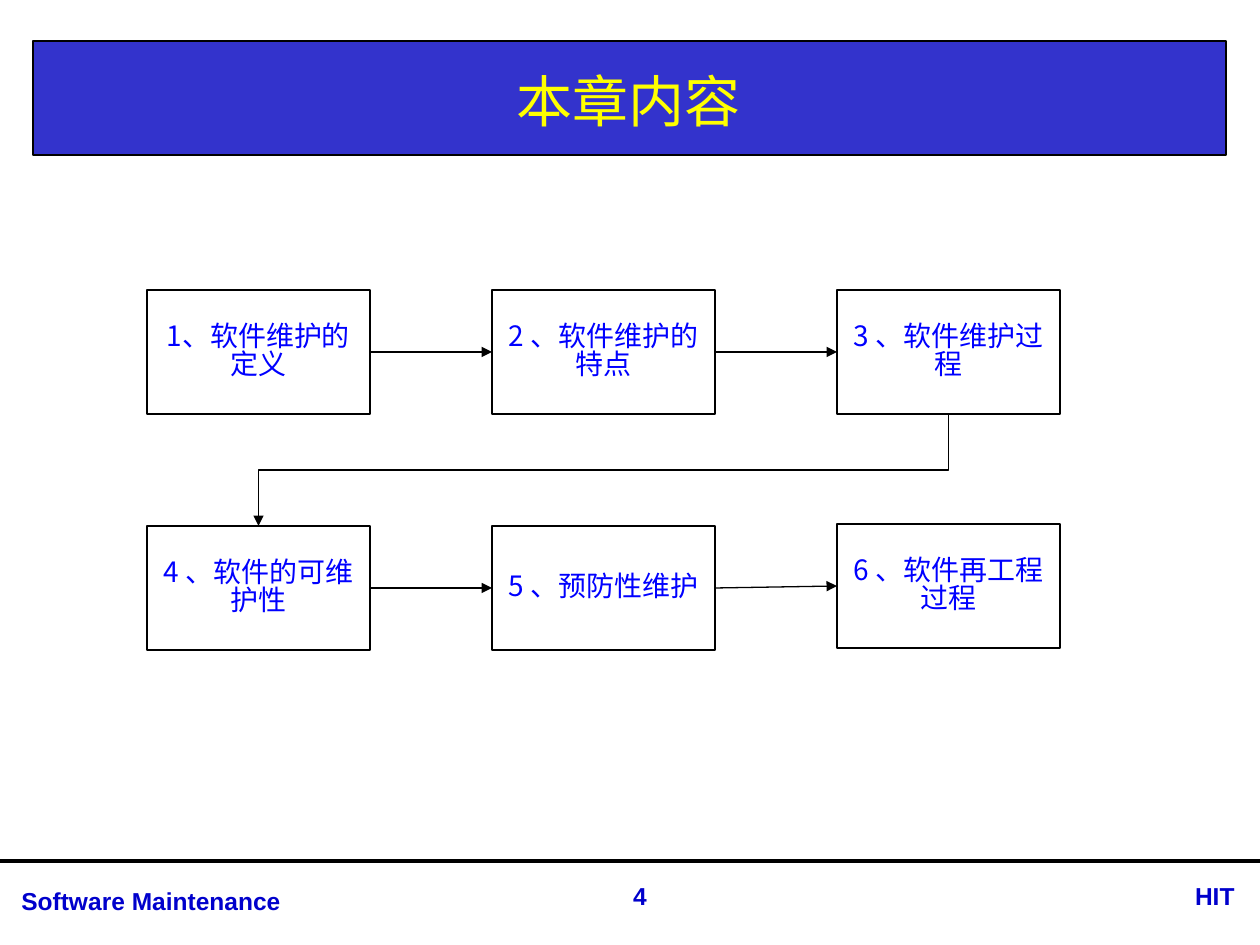
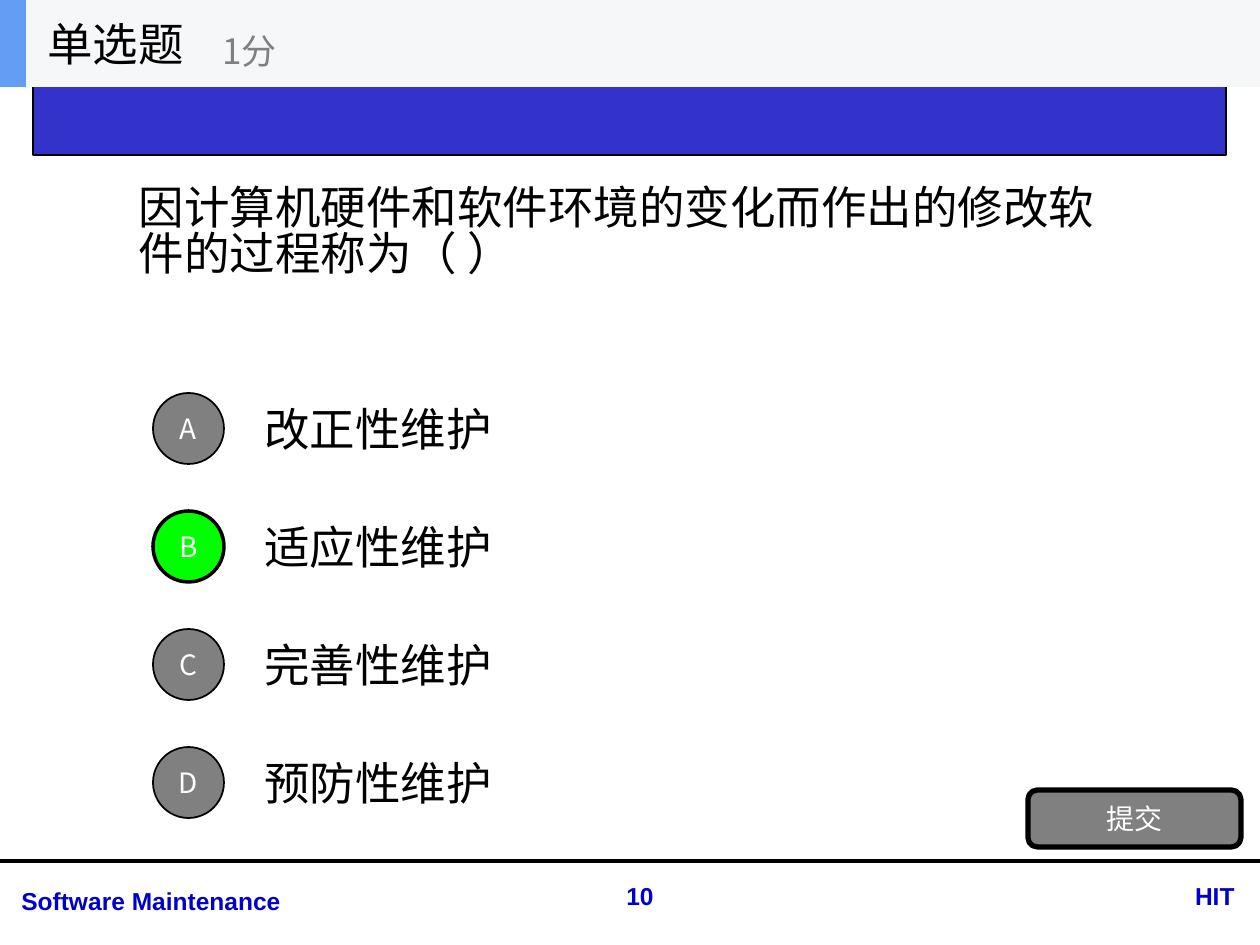
from dataclasses import dataclass

from lxml import etree
from pptx import Presentation
from pptx import util as u
from pptx.dml.color import RGBColor
from pptx.enum import shapes, text
from pptx.oxml import ns

EMU_PER_PX = 914400 / 126
TOP, LEFT, BOTTOM, RIGHT = range(4)
ALIGN = {"l": text.PP_ALIGN.LEFT, "c": text.PP_ALIGN.CENTER, "r": text.PP_ALIGN.RIGHT}


@dataclass(frozen=True)
class Theme:
    body_font: str = "Noto Sans CJK SC"
    footer_font: str = "Arial"
    black: str = "000000"
    white: str = "FFFFFF"
    band: str = "3333CC"
    title: str = "FFFF00"
    footer: str = "0000CC"
    step: str = "0000FF"
    grey: str = "808080"
    correct: str = "00FF00"
    header: str = "F6F7F8"
    accent: str = "639EF4"
    title_size: int = 32
    question_size: int = 26
    points_size: int = 20
    label_size: int = 16
    footer_size: int = 14


THEME = Theme()


def px(length):
    return u.Emu(round(length * EMU_PER_PX))


def rgb(value):
    return RGBColor.from_string(value)


def write(box, words, size=THEME.label_size, color=THEME.black, font=THEME.body_font,
          bold=False, align="l", anchor=text.MSO_ANCHOR.MIDDLE, spacing=None):
    frame = box.text_frame
    frame.auto_size = text.MSO_AUTO_SIZE.NONE
    frame.word_wrap = True
    frame.vertical_anchor = anchor
    para = frame.paragraphs[0]
    para.alignment = ALIGN[align]
    if spacing:
        para.line_spacing = spacing
    span = para.add_run()
    span.text = words
    span.font.name = font
    span.font.size = u.Pt(size)
    span.font.bold = bold
    span.font.color.rgb = rgb(color)
    east_asian = etree.SubElement(span.font._element, ns.qn("a:ea"))
    east_asian.set("typeface", font)


def place(box, left, top, width, height):
    box.left, box.top, box.width, box.height = map(px, (left, top, width, height))


def add_label(page, at, words, **look):
    box = page.shapes.add_textbox(*map(px, at))
    write(box, words, **look)
    return box


def add_box(page, at, fill, kind=shapes.MSO_SHAPE.RECTANGLE, line=0.75):
    box = page.shapes.add_shape(kind, *map(px, at))
    box.shadow.inherit = False
    box.fill.solid()
    box.fill.fore_color.rgb = rgb(fill)
    if line:
        box.line.color.rgb = rgb(THEME.black)
        box.line.width = u.Pt(line)
    else:
        box.line.fill.background()
    return box


def add_line(page, start=(0, 0), end=(0, 0), width=0.75, kind=shapes.MSO_CONNECTOR.STRAIGHT):
    line = page.shapes.add_connector(kind, *map(px, start + end))
    line.line.color.rgb = rgb(THEME.black)
    line.line.width = u.Pt(width)
    etree.SubElement(line._element.spPr, ns.qn("a:effectLst"))
    return line


def add_arrow(page, source, source_side, target, target_side, **look):
    arrow = add_line(page, **look)
    arrow.begin_connect(source, source_side)
    arrow.end_connect(target, target_side)
    etree.SubElement(arrow.line._get_or_add_ln(), ns.qn("a:tailEnd")).set("type", "triangle")
    return arrow


def turn_down_left(arrow):
    """Rotate an elbow arrow so that it leaves downwards and runs to the left."""
    wide, high = arrow.width, arrow.height
    left = arrow.left + (wide - high) // 2
    top = arrow.top + (high - wide) // 2
    frame = arrow._element.spPr.find(ns.qn("a:xfrm"))
    frame.attrib.pop("flipH", None)
    frame.set("rot", str(90 * 60000))
    arrow.left, arrow.top, arrow.width, arrow.height = left, top, high, wide


def add_footer(page, at, words, align):
    return add_label(page, at, words, size=THEME.footer_size, color=THEME.footer,
                     font=THEME.footer_font, bold=True, align=align,
                     anchor=text.MSO_ANCHOR.TOP)


def furnish_layout(layout, page):
    """Draw the shared band, rule and footers, then hand them to the layout."""
    shared = [
        add_box(page, (33, 41, 1193, 114), THEME.band),
        add_line(page, (0, 861), (1260, 861), width=2.25),
        add_footer(page, (9, 880, 485, 43), "Software Maintenance", "l"),
        add_footer(page, (1117, 875, 130, 43), "HIT", "r"),
    ]
    for item in shared:
        layout.shapes._spTree.append(item._element)


def add_page_number(page, number):
    add_footer(page, (575, 875, 130, 43), str(number), "c")


def build_contents(page):
    title = page.shapes.title
    place(title, 33, 45, 1191, 110)
    write(title, "本章内容", size=THEME.title_size, color=THEME.title, align="c")

    steps = ["1、软件维护的定义", "2 、软件维护的特点", "3 、软件维护过程",
             "4 、软件的可维护性", "5 、预防性维护", "6 、软件再工程过程"]
    boxes = []
    for index, step in enumerate(steps):
        row, column = divmod(index, 3)
        top = 524 if index == 5 else 290 + 236 * row
        box = add_box(page, (147 + 345 * column, top, 223, 124), THEME.white)
        write(box, step, color=THEME.step, align="c", spacing=0.84)
        boxes.append(box)

    for index, (source, target) in enumerate(zip(boxes, boxes[1:])):
        if index == 2:
            turn_down_left(add_arrow(page, source, BOTTOM, target, TOP,
                                     kind=shapes.MSO_CONNECTOR.ELBOW))
        else:
            add_arrow(page, source, RIGHT, target, LEFT)


def build_question(page):
    question = page.shapes.title
    place(question, 126, 87, 1008, 294)
    write(question, "因计算机硬件和软件环境的变化而作出的修改软件的过程称为（ ）",
          size=THEME.question_size, spacing=0.83)

    answers = ["改正性维护", "适应性维护", "完善性维护", "预防性维护"]
    for index, (letter, answer) in enumerate(zip("ABCD", answers)):
        top = 384 + 118 * index
        correct = letter == "B"
        add_label(page, (252, top, 882, 88), answer, size=THEME.question_size)
        circle = add_box(page, (153, top + 9, 71, 71),
                         THEME.correct if correct else THEME.grey,
                         kind=shapes.MSO_SHAPE.OVAL, line=2 if correct else 1)
        write(circle, letter, color=THEME.white, align="c")

    button = add_box(page, (1028, 790, 213, 57), THEME.grey,
                     kind=shapes.MSO_SHAPE.ROUNDED_RECTANGLE, line=3)
    write(button, "提交", color=THEME.white, align="c")

    add_box(page, (0, 0, 1260, 87), THEME.header, line=0)
    add_box(page, (0, 0, 26, 87), THEME.accent, line=0)
    add_label(page, (35, 0, 262, 87), "单选题", size=THEME.question_size)
    add_label(page, (210, 15, 315, 71), "1分", size=THEME.points_size, color=THEME.grey)


def main():
    deck = Presentation()
    deck.slide_width, deck.slide_height = px(1260), px(945)
    layout = deck.slide_layouts[5]
    contents, question = (deck.slides.add_slide(layout) for _ in range(2))
    furnish_layout(layout, contents)
    build_contents(contents)
    build_question(question)
    add_page_number(contents, 4)
    add_page_number(question, 10)
    deck.save("out.pptx")


if __name__ == "__main__":
    main()
